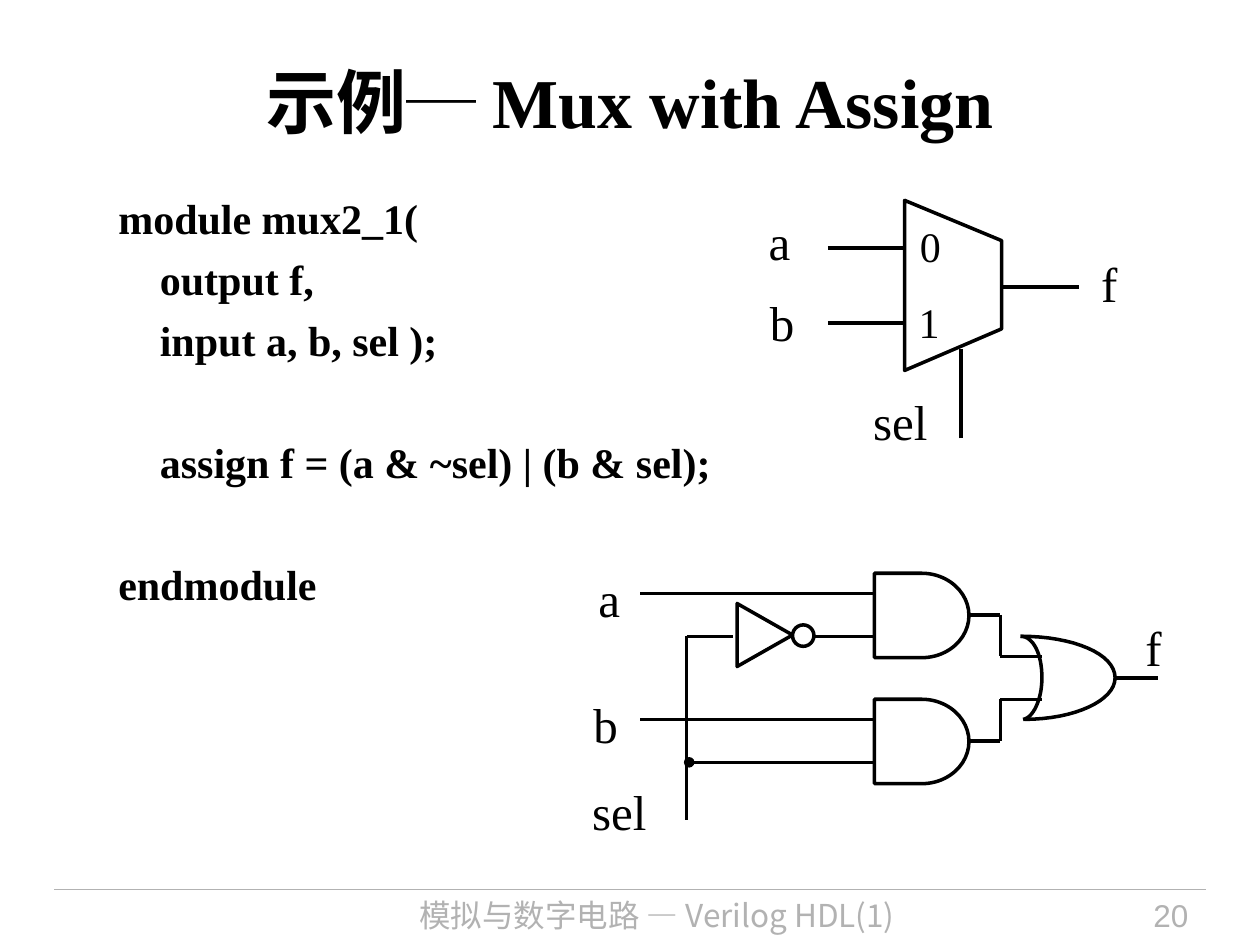
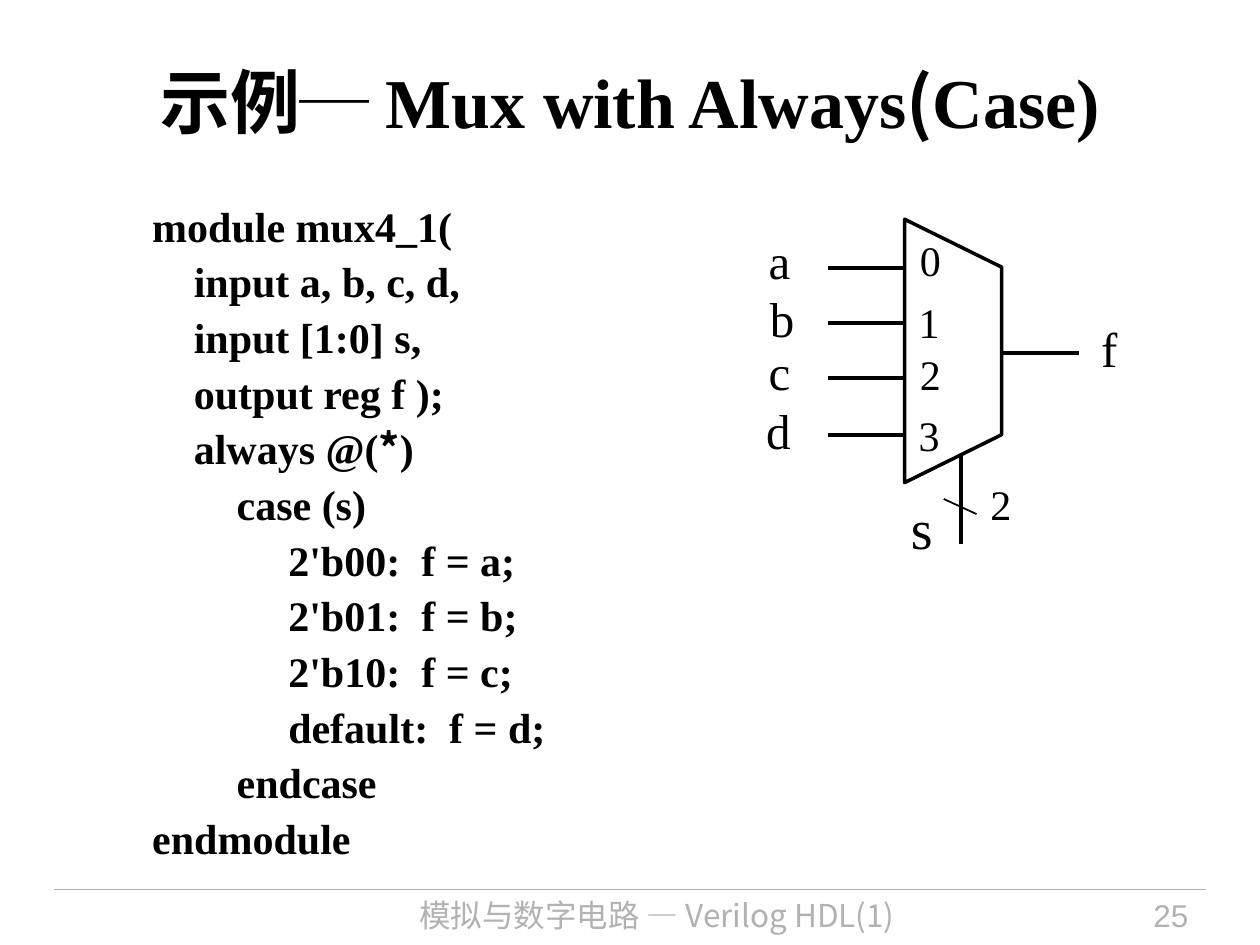
from dataclasses import dataclass
from itertools import cycle

from lxml import etree
from pptx import Presentation
from pptx import util as u
from pptx.dml.color import RGBColor
from pptx.enum import shapes, text
from pptx.oxml import ns

PX = 9144


@dataclass(frozen=True)
class Theme:
    ink: RGBColor = RGBColor(0, 0, 0)
    paper: RGBColor = RGBColor(255, 255, 255)
    muted: RGBColor = RGBColor(0xB2, 0xB2, 0xB2)
    serif: str = "Times New Roman"
    cjk: str = "Noto Sans CJK SC"
    sans: str = "Arial"
    title_size: int = 40
    code_size: int = 24
    code_pitch: float = 28.8
    label_size: int = 28
    digit_size: int = 24
    footer_size: int = 18
    outline: float = 2
    wire: float = 2.25
    rule: float = 0.75


def emu(*lengths):
    return [round(length * PX) for length in lengths]


def bezier(start, *controls):
    points = [start]
    for i in range(0, len(controls), 3):
        a, (b, c, d) = points[-1], controls[i:i + 3]
        for step in range(1, 17):
            t = step / 16
            weights = ((1 - t) ** 3, 3 * t * (1 - t) ** 2, 3 * t * t * (1 - t), t ** 3)
            points.append(tuple(sum(w * p[axis] for w, p in zip(weights, (a, b, c, d)))
                                for axis in (0, 1)))
    return points


class Deck:
    def __init__(self, theme):
        self.theme = theme
        self.prs = Presentation()
        self.prs.slide_width, self.prs.slide_height = emu(1000, 750)
        self.slide = None

    def style(self, run, font, size, color, bold=False):
        run.font.size = u.Pt(size)
        run.font.bold = bold
        run.font.color.rgb = color
        run.font.name = font
        east = etree.SubElement(run.font._element, ns.qn("a:ea"))
        east.set("typeface", self.theme.cjk)

    def write_bold(self, paragraph, parts, size):
        for part, font in zip(parts, cycle((self.theme.serif, self.theme.cjk))):
            run = paragraph.add_run()
            run.text = part
            self.style(run, font, size, self.theme.ink, True)

    def new_slide(self, title_parts, number):
        t = self.theme
        self.slide = self.prs.slides.add_slide(self.prs.slide_layouts[5])
        title = self.slide.shapes.title
        title.left, title.top, title.width, title.height = emu(50, 17, 900, 125)
        title.text_frame.vertical_anchor = text.MSO_ANCHOR.MIDDLE
        heading = title.text_frame.paragraphs[0]
        heading.alignment = text.PP_ALIGN.CENTER
        self.write_bold(heading, title_parts, t.title_size)
        self.line(43, 706, 957, 706, t.rule, t.muted)
        self.text_box("模拟与数字电路 — Verilog HDL(1)", (240, 706, 563, 44), t.cjk,
                      t.footer_size, t.muted, text.PP_ALIGN.CENTER)
        self.text_box(str(number), (820, 706, 133, 44), t.sans,
                      t.footer_size, t.muted, text.PP_ALIGN.RIGHT)

    def text_box(self, words, box, font, size, color, align, inset=(10, 5)):
        frame = self.slide.shapes.add_textbox(*emu(*box)).text_frame
        frame.word_wrap = True
        frame.margin_left, frame.margin_top = emu(*inset)
        frame.margin_right, frame.margin_bottom = emu(*inset)
        frame.text = words
        paragraph = frame.paragraphs[0]
        paragraph.alignment = align
        self.style(paragraph.runs[0], font, size, color)

    def label(self, words, x, y, size=None):
        size = size or self.theme.label_size
        box = (x, y, round(len(words) * size * 0.85), round(size * 1.65))
        self.text_box(words, box, self.theme.serif, size, self.theme.ink,
                      text.PP_ALIGN.LEFT, (0, 0))

    def labels(self, places):
        for words, x, y in places:
            self.label(words, x, y)

    def code(self, box, lines, space_after):
        t = self.theme
        indents = (0, 33, 67, 108)
        frame = self.slide.shapes.add_textbox(*emu(*box)).text_frame
        frame.word_wrap = True
        for i, (level, parts, *skipped) in enumerate(lines):
            paragraph = frame.add_paragraph() if i else frame.paragraphs[0]
            self.write_bold(paragraph, parts, t.code_size)
            paragraph.line_spacing = u.Pt(t.code_pitch)
            paragraph.space_before = u.Pt(sum(skipped) * (t.code_pitch + space_after))
            paragraph.space_after = u.Pt(space_after)
            paragraph._p.get_or_add_pPr().set("marL", str(indents[level] * PX))

    def line(self, x1, y1, x2, y2, weight=None, color=None, dot=False):
        wire = self.slide.shapes.add_connector(
            shapes.MSO_CONNECTOR.STRAIGHT, *emu(x1, y1, x2, y2))
        wire.line.width = u.Pt(weight or self.theme.outline)
        wire.line.color.rgb = color or self.theme.ink
        if dot:
            etree.SubElement(wire.line._get_or_add_ln(), ns.qn("a:headEnd"), type="oval")
        etree.SubElement(wire._element.spPr, ns.qn("a:effectLst"))

    def lines(self, segments, weight=None):
        for segment in segments:
            self.line(*segment, weight)

    def outline(self, shape, fill=None):
        shape.shadow.inherit = False
        if fill is None:
            shape.fill.background()
        else:
            shape.fill.solid()
            shape.fill.fore_color.rgb = fill
        shape.line.color.rgb = self.theme.ink
        shape.line.width = u.Pt(self.theme.outline)

    def gate(self, kind, box, fill=None, rotation=0):
        gate = self.slide.shapes.add_shape(kind, *emu(*box))
        gate.rotation = rotation
        self.outline(gate, fill)

    def freeform(self, points, close):
        first, *rest = [emu(*point) for point in points]
        builder = self.slide.shapes.build_freeform(*first, scale=1.0)
        builder.add_line_segments(rest, close=close)
        self.outline(builder.convert_to_shape())

    def mux(self, corner_ys, input_ys, digit_ys, output_y, select_ys):
        self.freeform(list(zip((718, 795, 795, 718), corner_ys)), True)
        wires = [(657, y, 718, y) for y in input_ys]
        wires.append((795, output_y, 856, output_y))
        wires.append((763, select_ys[1], 763, select_ys[0]))
        self.lines(wires, self.theme.wire)
        for digit, y in enumerate(digit_ys):
            self.label(str(digit), 730 - digit % 2, y, self.theme.digit_size)


def assign_slide(deck):
    deck.new_slide(("示例", "─ ", "Mux with Assign"), 20)
    deck.code((84, 148, 719, 551), [
        (0, ["module mux2_1("]),
        (1, ["output f,"]),
        (1, ["input a, b, sel );"]),
        (1, ["assign f = (a & ~sel) | (b & sel);"], 1),
        (0, ["endmodule"], 1),
    ], 6)
    deck.mux((159, 191, 261, 294), (197, 256), (175, 235), 228, (277, 348))
    deck.labels([("a", 610, 168), ("b", 611, 232), ("sel", 693, 311), ("f", 874, 201)])

    for top in (455, 555):
        deck.gate(shapes.MSO_SHAPE.FLOWCHART_DELAY, (694, top, 75, 67))
        deck.lines([(508, top + 16, 694, top + 16), (769, top + 33, 794, top + 33)])
    deck.line(547, 605, 694, 605, dot=True)
    deck.lines([
        (794, 488, 794, 521), (794, 521, 827, 521),
        (794, 555, 794, 588), (794, 555, 827, 555), (885, 538, 919, 538),
        (545, 505, 582, 505), (645, 505, 694, 505), (545, 505, 545, 651),
    ])
    or_back = bezier((810, 505), (820, 505), (827, 519), (827, 538),
                     (827, 555), (820, 570), (812, 571))
    or_front = bezier((810, 505), (852, 505), (885, 519), (885, 538),
                      (885, 556), (853, 571), (813, 571))
    for curve in (or_back, or_front):
        deck.freeform(curve, False)
    deck.gate(shapes.MSO_SHAPE.ISOSCELES_TRIANGLE, (582, 482, 50, 44), rotation=90)
    deck.gate(shapes.MSO_SHAPE.OVAL, (629, 496, 17, 17), deck.theme.paper)
    deck.labels([("a", 475, 451), ("b", 471, 551), ("sel", 470, 620), ("f", 909, 490)])


def case_slide(deck):
    deck.new_slide(("示例", "─ ", "Mux with Always", "(", "Case)"), 25)
    deck.code((111, 154, 469, 544), [
        (0, ["module mux4_1("]),
        (1, ["input a, b, c, d,"]),
        (1, ["input [1:0] s,"]),
        (1, ["output reg f );"]),
        (1, ["always @(", "*", ")"]),
        (2, ["case (s)"]),
        (3, ["2'b00:  f = a;"]),
        (3, ["2'b01:  f = b;"]),
        (3, ["2'b10:  f = c;"]),
        (3, ["default:  f = d;"]),
        (2, ["endcase"]),
        (0, ["endmodule"]),
    ], 3)
    deck.mux((174, 212, 345, 383), (213, 256, 300, 345), (186, 235, 277, 325),
             280, (361, 432))
    deck.labels([("a", 610, 183), ("b", 611, 229), ("c", 610, 271),
                 ("d", 608, 318), ("f", 874, 253)])
    deck.label("s", 723, 392, 32)
    deck.line(749, 396, 775, 408, 1)
    deck.label("2", 786, 380, deck.theme.digit_size)


def main():
    deck = Deck(Theme())
    assign_slide(deck)
    case_slide(deck)
    deck.prs.save("out.pptx")


if __name__ == "__main__":
    main()
